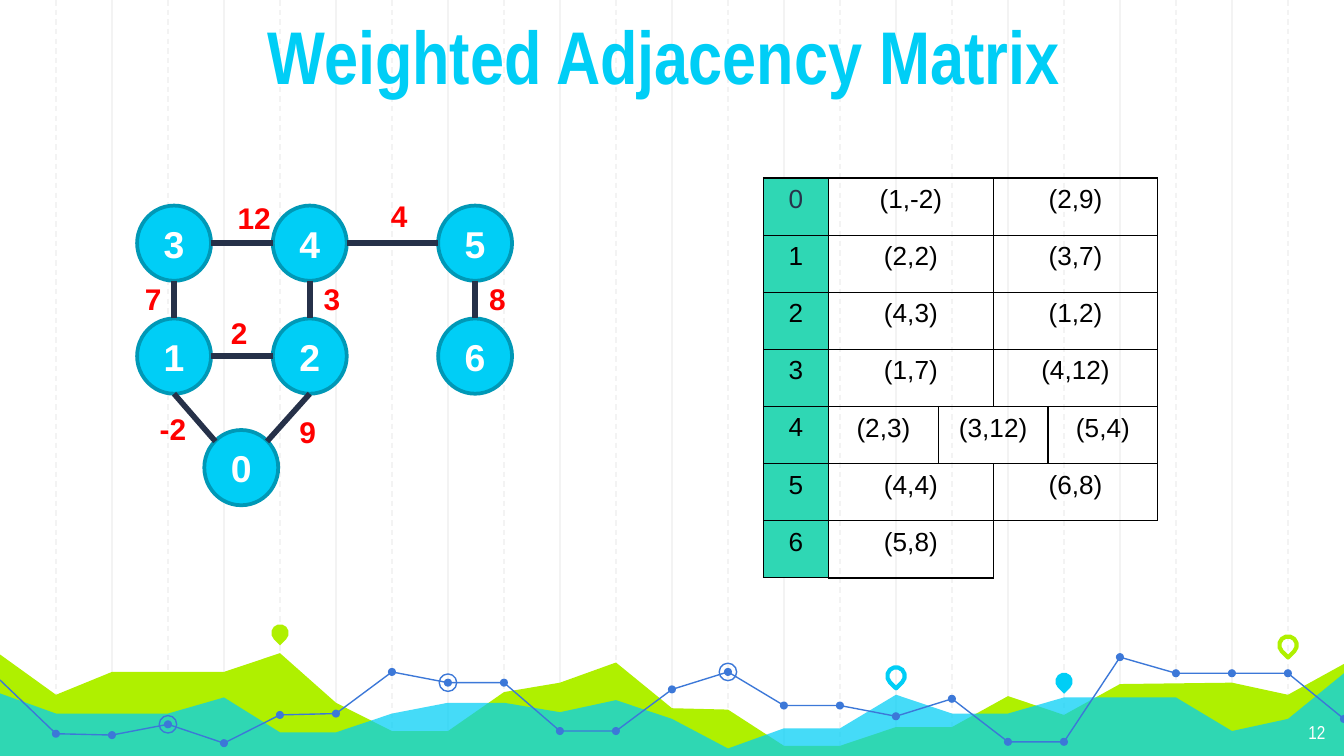
"""Build the weighted adjacency slide: a graph, its adjacency lists and a chart-like footer."""
from lxml import etree
from pptx import Presentation
from pptx.dml.color import RGBColor
from pptx.enum.dml import MSO_LINE
from pptx.enum.shapes import MSO_CONNECTOR, MSO_SHAPE
from pptx.enum.text import MSO_ANCHOR, PP_ALIGN
from pptx.oxml import parse_xml
from pptx.oxml.ns import nsdecls, qn
from pptx.util import Inches, Pt

STRAIGHT = MSO_CONNECTOR.STRAIGHT
DASH = MSO_LINE.DASH
OVAL, TEARDROP = MSO_SHAPE.OVAL, MSO_SHAPE.TEAR
LEFT, CENTER, RIGHT = PP_ALIGN.LEFT, PP_ALIGN.CENTER, PP_ALIGN.RIGHT
TOP, MIDDLE, BOTTOM = MSO_ANCHOR.TOP, MSO_ANCHOR.MIDDLE, MSO_ANCHOR.BOTTOM

WIDTH, HEIGHT = 10, 5.625
STEP = WIDTH / 24
FLOOR = 5.65
CYAN, LIME, BLUE, TEAL = "00CEF6", "AFF000", "3C78D8", "2FD7B4"
GRID, EDGE, OUTLINE = "F3F3F3", "263149", "0098B6"
BLACK, WHITE, RED, NAVY = "000000", "FFFFFF", "FF0000", "28324A"

TITLE = "Weighted Adjacency Matrix "
TITLE_FORMAT = {"size": Pt(40), "name": "Arial Narrow", "bold": True}
NUMBER_FORMAT = {"size": Pt(10), "name": "Arial Narrow"}
NODE_FORMAT = {"size": Pt(20), "name": "Arial", "bold": True}
WEIGHT_FORMAT = {"size": Pt(16), "name": "Arial", "bold": True}
CELL_FORMAT = {"size": Pt(14), "name": "Arial"}

NODE_WIDTH, NODE_HEIGHT = 0.55, 0.56
NODES = {
    "3": (1.02, 1.53), "4": (2.03, 1.53), "1": (1.02, 2.37), "2": (2.03, 2.37),
    "5": (3.26, 1.53), "6": (3.26, 2.37), "0": (1.52, 3.2),
}
SITES = {
    "top": (0.5, 0), "bottom": (0.5, 1), "left": (0, 0.5), "right": (1, 0.5),
    "top left": (0.15, 0.15), "top right": (0.85, 0.15),
}
EDGES = [
    ("3", "right", "4", "left"), ("3", "bottom", "1", "top"),
    ("4", "right", "5", "left"), ("5", "bottom", "6", "top"),
    ("4", "bottom", "2", "top"), ("1", "right", "2", "left"),
    ("1", "bottom", "0", "top left"), ("2", "bottom", "0", "top right"),
]
WEIGHTS = [
    ("4", 2.81, 1.42), ("12", 1.67, 1.44), ("7", 0.98, 2.04), ("2", 1.62, 2.29),
    ("3", 2.31, 2.04), ("8", 3.54, 2.04), ("-2", 1.09, 3.01), ("9", 2.13, 3.03),
]

TABLE_TOP, ROW_HEIGHT = 1.325, 0.425
INDEX_LEFT, INDEX_WIDTH = 5.68, 0.485
LIST_LEFT, LIST_WIDTH = INDEX_LEFT + INDEX_WIDTH, 2.45
NEIGHBOURS = [
    ["(1,-2)", "(2,9)"], ["(2,2)", "(3,7)"], ["(4,3)", "(1,2)"], ["(1,7)", "(4,12)"],
    ["(2,3)", "(3,12)", "(5,4)"], ["(4,4)", "(6,8)"], ["(5,8)"],
]

LIME_AREA = {
    0: 4.87, 1: 5.17, 2: 5, 4: 5, 5: 4.86, 6: 5.23, 7: 5.44, 8: 5.44, 9: 5.15, 10: 5.08,
    11: 4.93, 12: 5.27, 13: 5.28, 14: 5.55, 15: 5.55, 16: 5.41, 17: 5.41, 18: 5.18,
    19: 5.32, 20: 5.09, 22: 5.08, 23: 5.17, 24: 4.94,
}
CYAN_AREA = {
    0: 5.16, 1: 5.31, 3: 5.31, 4: 5.19, 5: 5.45, 6: 5.45, 7: 5.31, 8: 5.23, 9: 5.23,
    10: 5.3, 11: 5.21, 12: 5.35, 13: 5.57, 14: 5.42, 15: 5.42, 16: 5.17, 17: 5.31,
    18: 5.31, 19: 5.19, 21: 5.19, 22: 5.44, 23: 5.35, 24: 5.01,
}
TREND = [
    5.06, 5.46, 5.47, 5.39, 5.53, 5.32, 5.31, 5, 5.08, 5.08, 5.44, 5.44, 5.13, 5,
    5.25, 5.25, 5.33, 5.2, 5.52, 5.52, 4.89, 5.01, 5.01, 5.01, 5.35,
]
TREND_PARTS = [(0, 11), (11, 20), (20, 24)]
RINGED = [8, 3, 13]
PINS = [
    (5, 4.71, LIME, None), (16, 5.03, None, CYAN),
    (19, 5.07, CYAN, None), (23, 4.8, None, LIME),
]
DOT, RING = 0.06, 0.13


def rgb(value):
    """Turn a hex string into a colour."""
    return RGBColor.from_string(value)


def paint(shape, fill=None, line=None, width=0.75):
    """Set fill and line, leaving out whichever is None."""
    shape.shadow.inherit = False
    if fill:
        shape.fill.solid()
        shape.fill.fore_color.rgb = rgb(fill)
    else:
        shape.fill.background()
    if line:
        shape.line.color.rgb = rgb(line)
        shape.line.width = Pt(width)
    else:
        shape.line.fill.background()


def write(frame, text, formats, color, align=CENTER, anchor=TOP, inset=None):
    """Fill a text frame with one formatted paragraph."""
    frame.word_wrap = True
    frame.vertical_anchor = anchor
    if inset is not None:
        for side in ("left", "top", "right", "bottom"):
            setattr(frame, f"margin_{side}", Inches(inset))
    paragraph = frame.paragraphs[0]
    paragraph.alignment = align
    run = paragraph.add_run()
    run.text = text
    for name, value in formats.items():
        setattr(run.font, name, value)
    run.font.color.rgb = rgb(color)


def add_text(slide, box, *content, **options):
    """Add a text box at a left, top, width, height box."""
    write(slide.shapes.add_textbox(*map(Inches, box)).text_frame, *content, **options)


def add_line(slide, start, end, color, width):
    """Add a straight connector without a shadow."""
    line = slide.shapes.add_connector(STRAIGHT, *map(Inches, (*start, *end)))
    line.line.color.rgb = rgb(color)
    line.line.width = Pt(width)
    etree.SubElement(line.element.spPr, qn("a:effectLst"))
    return line


def add_centered(slide, kind, x, y, size, **colors):
    """Add a square preset shape around a centre point."""
    shape = slide.shapes.add_shape(kind, *map(Inches, (x - size / 2, y - size / 2, size, size)))
    paint(shape, **colors)
    return shape


def add_path(slide, points, closed, **colors):
    """Add a freeform through points given in inches."""
    corners = [(Inches(x), Inches(y)) for x, y in points]
    builder = slide.shapes.build_freeform(*corners[0])
    builder.add_line_segments(corners[1:], close=closed)
    shape = builder.convert_to_shape()
    paint(shape, **colors)
    return shape


def add_grid(slide, left, top, width, rows, fill=None, first_color=BLACK):
    """Add a bordered table with equal columns."""
    box = (left, top, width, ROW_HEIGHT * len(rows))
    table = slide.shapes.add_table(len(rows), len(rows[0]), *map(Inches, box)).table
    table.first_row = table.horz_banding = False
    for r, row in enumerate(rows):
        for c, text in enumerate(row):
            cell = table.cell(r, c)
            write(cell.text_frame, text, CELL_FORMAT, BLACK if r or c else first_color)
            for side in ("lnL", "lnR", "lnT", "lnB"):
                cell._tc.get_or_add_tcPr().append(parse_xml(
                    f'<a:{side} {nsdecls("a")} w="9525"><a:solidFill>'
                    f'<a:srgbClr val="{BLACK}"/></a:solidFill></a:{side}>'))
            if fill:
                cell.fill.solid()
                cell.fill.fore_color.rgb = rgb(fill)
            else:
                cell.fill.background()


def add_backdrop(slide):
    """Draw the vertical guides, areas, pins and trend line."""
    for first, dash in ((2, None), (1, DASH)):
        for column in range(first, 24, 2):
            guide = add_line(slide, (column * STEP, 0), (column * STEP, FLOOR), GRID, 0.75)
            guide.line.dash_style = dash
    for heights, color in ((LIME_AREA, LIME), (CYAN_AREA, CYAN)):
        points = [(column * STEP, y) for column, y in heights.items()]
        area = add_path(slide, points + [(10.02, FLOOR), (-0.03, FLOOR)], True, fill=color)
    color_element = area.element.spPr.find(qn("a:solidFill"))[0]
    etree.SubElement(color_element, qn("a:alpha"), val="73000")
    for column, y, fill, line in PINS:
        pin = add_centered(slide, TEARDROP, column * STEP, y, RING, fill=fill, line=line, width=2.25)
        pin.rotation = 135
    trend = [(column * STEP, y) for column, y in enumerate(TREND)]
    for first, last in TREND_PARTS:
        add_path(slide, trend[first:last + 1], False, line=BLUE)
    for point in trend[1:]:
        add_centered(slide, OVAL, *point, DOT, fill=BLUE)
    for column in RINGED:
        add_centered(slide, OVAL, *trend[column], RING, line=BLUE)


def add_graph(slide):
    """Draw nodes, edges and edge weights."""
    for name, place in NODES.items():
        box = map(Inches, (*place, NODE_WIDTH, NODE_HEIGHT))
        node = slide.shapes.add_shape(OVAL, *box)
        paint(node, CYAN, OUTLINE, 2)
        write(node.text_frame, name, NODE_FORMAT, WHITE, anchor=MIDDLE)
    for edge in EDGES:
        ends = [
            (NODES[name][0] + SITES[site][0] * NODE_WIDTH, NODES[name][1] + SITES[site][1] * NODE_HEIGHT)
            for name, site in (edge[:2], edge[2:])
        ]
        add_line(slide, *ends, EDGE, 3)
    for text, left, top in WEIGHTS:
        add_text(slide, (left, top, 0.62, 0.37), text, WEIGHT_FORMAT, RED, align=LEFT)


def main():
    """Assemble and save the slide."""
    presentation = Presentation()
    presentation.slide_width, presentation.slide_height = Inches(WIDTH), Inches(HEIGHT)
    slide = presentation.slides.add_slide(presentation.slide_layouts[5])
    add_backdrop(slide)
    add_text(slide, (9.36, 5.28, 0.6, 0.35), "12", NUMBER_FORMAT, WHITE, align=RIGHT, inset=0.1)
    add_graph(slide)
    title = slide.shapes.title
    title.left, title.top, title.width, title.height = map(Inches, (0, 0.06, WIDTH, 0.78))
    write(title.text_frame, TITLE, TITLE_FORMAT, CYAN, anchor=BOTTOM, inset=0.1)
    title.element.getparent().append(title.element)
    indexes = [[str(index)] for index in range(len(NEIGHBOURS))]
    add_grid(slide, INDEX_LEFT, TABLE_TOP, INDEX_WIDTH, indexes, TEAL, NAVY)
    for index, row in enumerate(NEIGHBOURS):
        width = LIST_WIDTH * len(row) / max(2, len(row))
        add_grid(slide, LIST_LEFT, TABLE_TOP + index * ROW_HEIGHT, width, [row])
    presentation.save("out.pptx")


if __name__ == "__main__":
    main()
